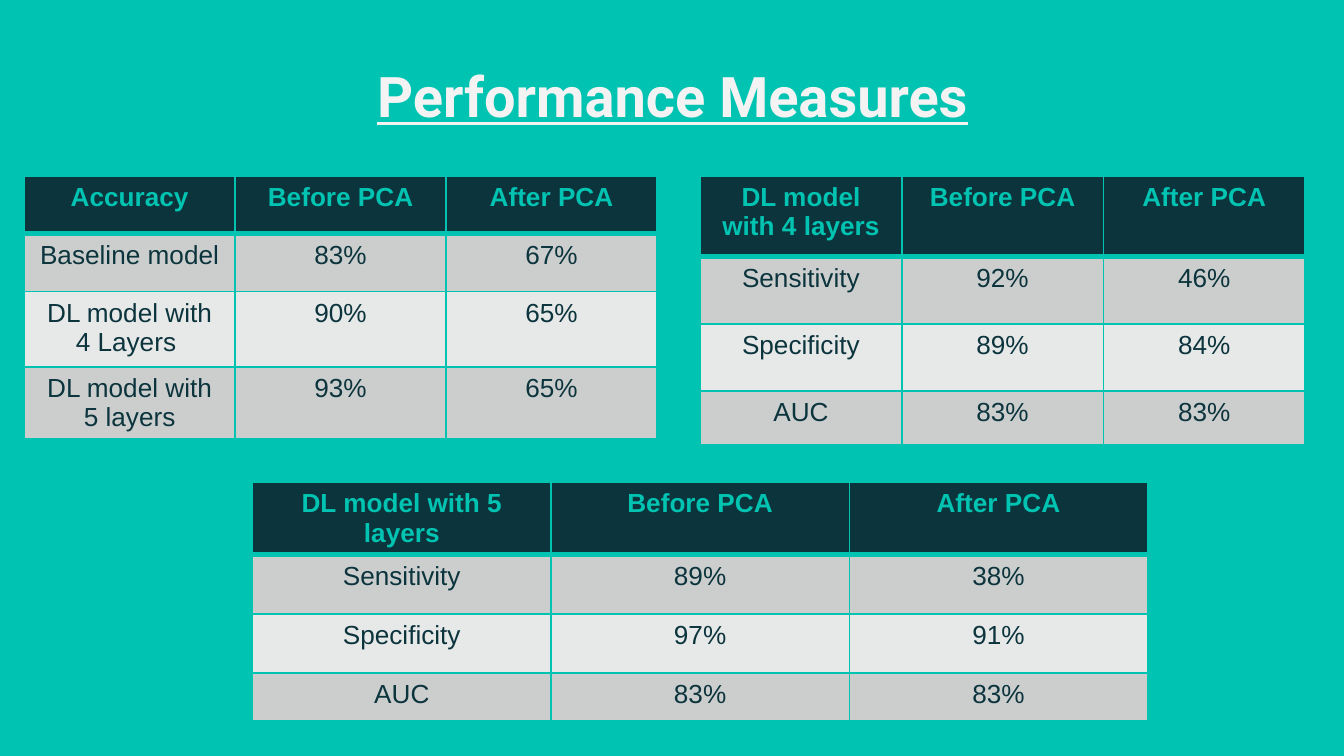
import pptx
import pptx.util
import pptx.dml.color
import pptx.enum.text
import pptx.oxml
import pptx.oxml.ns
from pptx.util import Inches

RGBColor = pptx.dml.color.RGBColor
TEAL = RGBColor(0x00, 0xC3, 0xB1)
NAVY = RGBColor(0x0C, 0x34, 0x3D)
WHITE = RGBColor(0xF3, 0xF3, 0xF3)
GREY = RGBColor(0xCC, 0xCE, 0xCE)
LIGHT = RGBColor(0xE7, 0xE8, 0xE8)
CENTER = pptx.enum.text.PP_ALIGN.CENTER


def add_borders(cell, top, bottom):
    """Draw teal cell borders; must run before the cell fill is set."""
    properties = cell._tc.get_or_add_tcPr()
    for side, points in (("L", 1), ("R", 1), ("T", top), ("B", bottom)):
        properties.append(pptx.oxml.parse_xml(
            f'<a:ln{side} {pptx.oxml.ns.nsdecls("a")} w="{pptx.util.Pt(points)}">'
            f'<a:solidFill><a:srgbClr val="{TEAL}"/></a:solidFill></a:ln{side}>'))


# Widescreen 16:9 page
deck = pptx.Presentation()
deck.slide_width = Inches(10)
deck.slide_height = Inches(10) * 9 // 16
page = deck.slides.add_slide(deck.slide_layouts[5])
page.background.fill.solid()
page.background.fill.fore_color.rgb = TEAL

# Title
title = page.shapes.title
title.left, title.top = Inches(0.79), Inches(0.36)
title.width, title.height = Inches(8.43), Inches(0.63)
frame = title.text_frame
frame.text = "Performance Measures"
frame.auto_size = pptx.enum.text.MSO_AUTO_SIZE.NONE
frame.vertical_anchor = pptx.enum.text.MSO_ANCHOR.TOP
frame.margin_left = frame.margin_right = Inches(0.1)
frame.margin_top = frame.margin_bottom = Inches(0.1)
para = frame.paragraphs[0]
para.alignment = CENTER
para.font.name, para.font.size = "Roboto", pptx.util.Pt(30)
para.font.bold = para.font.underline = True
para.font.color.rgb = WHITE

# Tables: left, top, column width, row heights, heading, body rows
tables = [
    (0.18, 1.31, 1.57, (0.43, 0.43, 0.56, 0.35), "Accuracy",
     [("Baseline model", "83%", "67%"),
      ("DL model with 4 Layers ", "90%", "65%"),
      ("DL model with 5 layers", "93%", "65%")]),
    (5.21, 1.31, 1.5, (0.6, 0.5, 0.5, 0.4), "DL model with 4 layers",
     [("Sensitivity", "92%", "46%"),
      ("Specificity", "89%", "84%"),
      ("AUC", "83%", "83%")]),
    (1.88, 3.59, 2.22, (0.44, 0.44, 0.44, 0.36), "DL model with 5 layers",
     [("Sensitivity", "89%", "38%"),
      ("Specificity", "97%", "91%"),
      ("AUC", "83%", "83%")]),
]
for left, top, column_width, row_heights, heading, body in tables:
    rows = [(heading, "Before PCA", "After PCA")] + body
    table = page.shapes.add_table(
        len(rows), 3, Inches(left), Inches(top),
        Inches(3 * column_width), Inches(sum(row_heights))).table
    for column in table.columns:
        column.width = Inches(column_width)
    for row_index, values in enumerate(rows):
        table.rows[row_index].height = Inches(row_heights[row_index])
        is_header = row_index == 0
        for column_index, value in enumerate(values):
            cell = table.cell(row_index, column_index)
            # A thick rule separates the header from the body
            add_borders(cell, 3 if row_index == 1 else 1, 3 if is_header else 1)
            cell.fill.solid()
            cell.fill.fore_color.rgb = (NAVY, GREY, LIGHT, GREY)[row_index]
            cell.text = value
            para = cell.text_frame.paragraphs[0]
            para.alignment = CENTER
            para.font.name, para.font.size = "Arial", pptx.util.Pt(14)
            para.font.bold = is_header
            para.font.color.rgb = TEAL if is_header else NAVY

deck.save("out.pptx")
